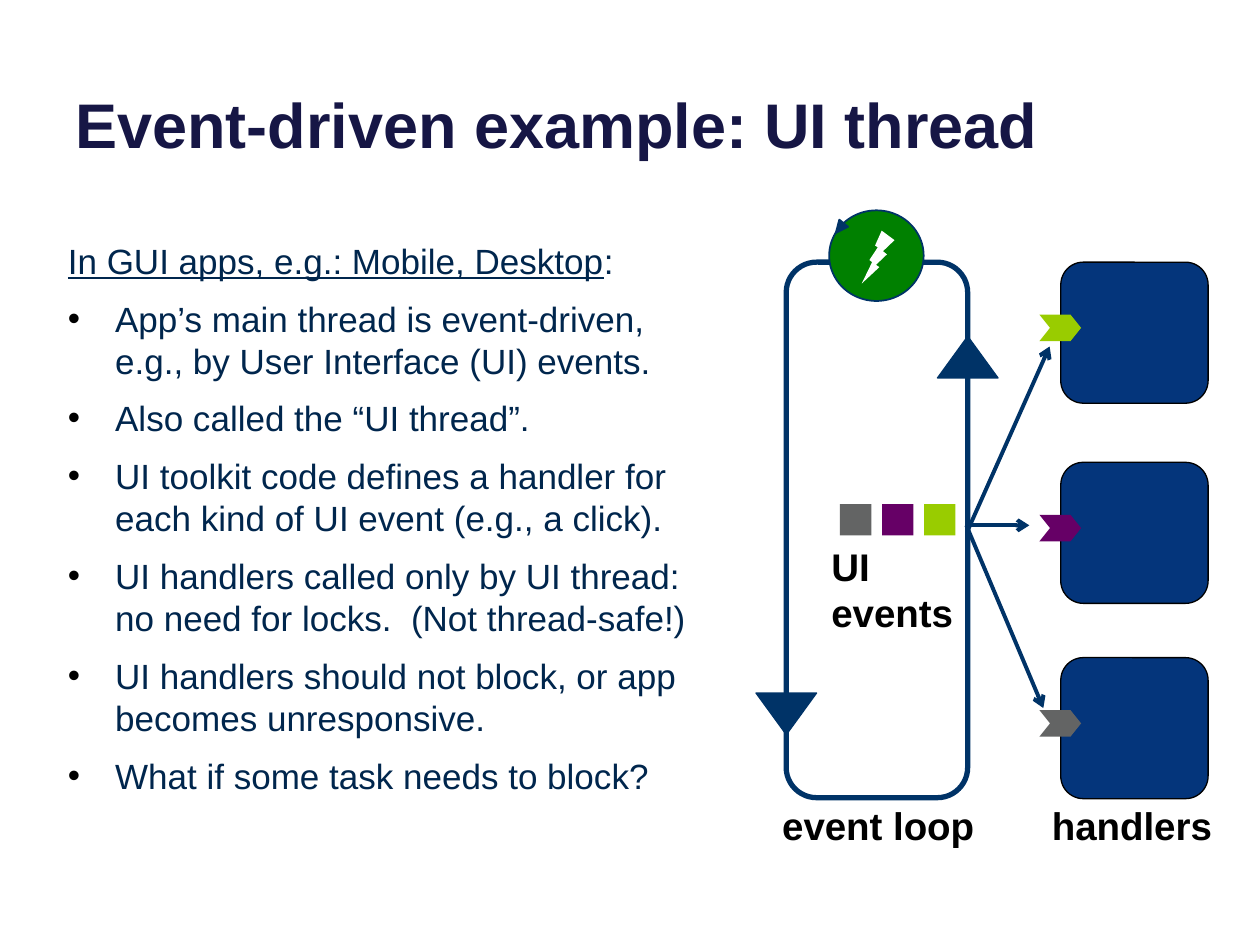
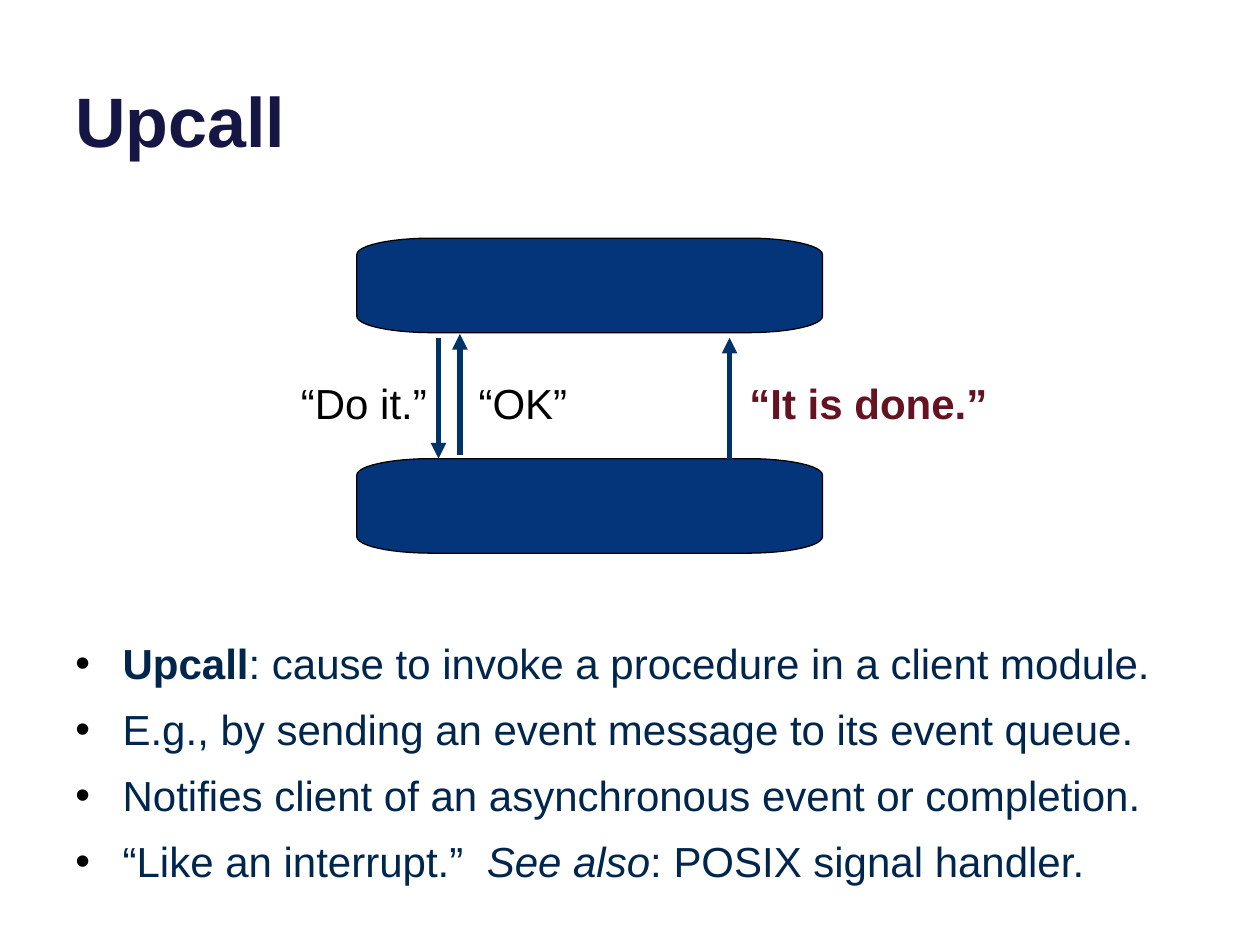
from math import cos, pi, sin

from lxml.etree import SubElement
from pptx import Presentation
from pptx.dml.color import RGBColor
from pptx.enum.shapes import MSO_CONNECTOR as Link, MSO_SHAPE as Kind
from pptx.enum.text import MSO_ANCHOR as Anchor
from pptx.oxml.ns import qn
from pptx.util import Pt

COLORS = {
    "title": "161645", "body": "00264D", "black": "000000", "white": "FFFFFF",
    "line": "003367", "block": "04357B", "lime": "99CC00", "purple": "660066",
    "gray": "636464", "green": "008000", "maroon": "651222",
}
TITLE_BOX = (36, -26.6, 648, 122.4)
BOLD, ITALIC, UNDERLINE = {"bold": True}, {"italic": True}, {"underline": True}
INDENT = 27


def write_text(page, place, paragraphs, size, color="black", anchor=Anchor.TOP, before=0):
    """Each paragraph is (has bullet, [(text, format values), ...])."""
    frame = page.shapes.add_textbox(*map(Pt, place)).text_frame
    frame.word_wrap = True
    frame.vertical_anchor = anchor
    for index, (bulleted, spans) in enumerate(paragraphs):
        para = frame.add_paragraph() if index else frame.paragraphs[0]
        para.space_before = Pt(before)
        if bulleted:
            props = para._p.get_or_add_pPr()
            props.set("marL", str(Pt(INDENT)))
            props.set("indent", str(-Pt(INDENT)))
            SubElement(SubElement(props, qn("a:buClr")), qn("a:srgbClr"), val=COLORS["black"])
            SubElement(props, qn("a:buFont"), typeface="Arial")
            SubElement(props, qn("a:buChar"), char="•")
        for text, values in spans:
            span = para.add_run()
            span.text = text
            for name, value in {"name": "Arial", "size": Pt(size), **values}.items():
                setattr(span.font, name, value)
            span.font.color.rgb = RGBColor.from_string(COLORS[color])


def paint(shape, fill=None, line=None, width=0.75):
    shape.shadow.inherit = False
    if fill:
        shape.fill.solid()
        shape.fill.fore_color.rgb = RGBColor.from_string(COLORS[fill])
    else:
        shape.fill.background()
    if line:
        shape.line.color.rgb = RGBColor.from_string(COLORS[line])
        shape.line.width = Pt(width)
    else:
        shape.line.fill.background()
    return shape


deck = Presentation()
deck.slide_width, deck.slide_height = Pt(720), Pt(540)
ui_page, upcall_page = [deck.slides.add_slide(deck.slide_layouts[6]) for _ in range(2)]

# Titles
for page, title, size in [(ui_page, "Event-driven example: UI thread", 36),
                          (upcall_page, "Upcall", 40)]:
    write_text(page, TITLE_BOX, [(False, [(title, BOLD)])], size, "title", Anchor.BOTTOM)

# UI thread: body text
ui_bullets = [
    "App’s main thread is event-driven, e.g., by User Interface (UI) events.",
    "Also called the “UI thread”.",
    "UI toolkit code defines a handler for each kind of UI event (e.g., a click).",
    "UI handlers called only by UI thread: no need for locks.  (Not thread-safe!)",
    "UI handlers should not block, or app becomes unresponsive.",
    "What if some task needs to block?",
]
ui_intro = (False, [("In GUI apps, e.g.: Mobile, Desktop", UNDERLINE), (":", {})])
write_text(ui_page, (31.7, 133.2, 383, 365.8),
           [ui_intro] + [(True, [(text, {})]) for text in ui_bullets],
           20, "body", before=9)

# UI thread: event loop with its direction marks
shapes = ui_page.shapes
event_loop = shapes.add_shape(Kind.ROUNDED_RECTANGLE, *map(Pt, (449.3, 149.8, 103.7, 306)))
event_loop.adjustments[0] = 0.167
paint(event_loop, line="line", width=3)
for left, top, turn in [(535.7, 192.2, 0), (432, 396, 180)]:
    mark = shapes.add_shape(Kind.ISOSCELES_TRIANGLE, Pt(left), Pt(top), Pt(34.6), Pt(23.8))
    mark.rotation = turn
    paint(mark, "line", "line")

# UI thread: handlers and the events they take
for index, (color, top) in enumerate([("gray", 375.8), ("purple", 264.2), ("lime", 149.8)]):
    handler = shapes.add_shape(Kind.ROUNDED_RECTANGLE, Pt(606.2), Pt(top), Pt(84.2), Pt(80.6))
    handler.adjustments[0] = 0.16
    paint(handler, "block", "black")
    port = shapes.add_shape(Kind.CHEVRON, Pt(594), Pt(top + 30), Pt(23.8), Pt(15.1))
    port.adjustments[0] = 0.4
    paint(port, color)
    event = shapes.add_shape(Kind.RECTANGLE, Pt(480 + 24 * index), Pt(288), Pt(18), Pt(18))
    paint(event, color)

# UI thread: thread badge
badge = shapes.add_shape(Kind.OVAL, *map(Pt, (473.8, 120.2, 54, 51.8)))
paint(badge, "green", "line", 1)
bolt = shapes.add_shape(Kind.LIGHTNING_BOLT, *map(Pt, (492.5, 131.8, 18.7, 30.2)))
bolt.element.spPr.find(qn("a:xfrm")).set("flipH", "1")
paint(bolt, "white")
badge_tip = shapes.add_shape(Kind.ISOSCELES_TRIANGLE, *map(Pt, (476.6, 126.7, 6.5, 7.2)))
badge_tip.rotation = 219
paint(badge_tip, "line", "line", 1)

# Upcall: two modules with wide elliptical corners
bar_left, bar_width, bar_height = 203.9, 266.1, 54
corner_x, corner_y, steps = 42.5, 9.4, 12
for bar_top in (136.1, 262.1):
    outline = []
    for quarter in range(4):
        center_x = bar_left + (bar_width - corner_x if quarter in (0, 3) else corner_x)
        center_y = bar_top + (bar_height - corner_y if quarter < 2 else corner_y)
        for step in range(steps + 1):
            angle = (quarter + step / steps) * pi / 2
            outline.append((Pt(center_x + corner_x * cos(angle)),
                            Pt(center_y + corner_y * sin(angle))))
    builder = upcall_page.shapes.build_freeform(*outline[0])
    builder.add_line_segments(outline[1:], close=True)
    paint(builder.convert_to_shape(), "block", "black")

# Upcall: body text
upcall_bullets = [
    [("Upcall", BOLD), (": cause to invoke a procedure in a client module.", {})],
    [("E.g., by sending an event message to its event queue.", {})],
    [("Notifies client of an asynchronous event or completion.", {})],
    [("“Like an interrupt.”  ", {}), ("See also", ITALIC), (": POSIX signal handler.", {})],
]
write_text(upcall_page, (36, 360.7, 648, 122.4),
           [(True, spans) for spans in upcall_bullets], 24, "body", before=9)

# Labels
for page, place, text, size, color, values in [
    (ui_page, (468, 306.7, 95.8, 60.5), "UI events", 22, "black", BOLD),
    (ui_page, (439.9, 455, 139.7, 33.8), "event loop", 22, "black", BOLD),
    (ui_page, (594, 455, 124, 33.8), "handlers", 22, "black", BOLD),
    (upcall_page, (164.9, 212.4, 97.9, 36.7), "“Do it.”", 24, "black", {}),
    (upcall_page, (266.4, 212.4, 97.9, 36.7), "“OK”", 24, "black", {}),
    (upcall_page, (421.2, 212.4, 168.5, 36.7), "“It is done.”", 24, "maroon", BOLD),
]:
    write_text(page, place, [(False, [(text, values)])], size, color)

# Arrows
for page, head, width, routes in [
    (ui_page, "arrow", 2.25, [(553, 303.1, 599.8, 198), (552.2, 300.2, 588.2, 300.2),
                              (552.2, 300.2, 596.2, 404.6)]),
    (upcall_page, "triangle", 3, [(250.6, 193, 250.6, 262.1), (262.8, 259.9, 262.8, 190.8),
                                  (416.9, 262.1, 416.9, 193)]),
]:
    for route in routes:
        arrow = page.shapes.add_connector(Link.STRAIGHT, *map(Pt, route))
        arrow.line.color.rgb = RGBColor.from_string(COLORS["line"])
        arrow.line.width = Pt(width)
        props = arrow.element.spPr
        SubElement(props.find(qn("a:ln")), qn("a:tailEnd"), type=head)
        SubElement(props, qn("a:effectLst"))

deck.save("out.pptx")
